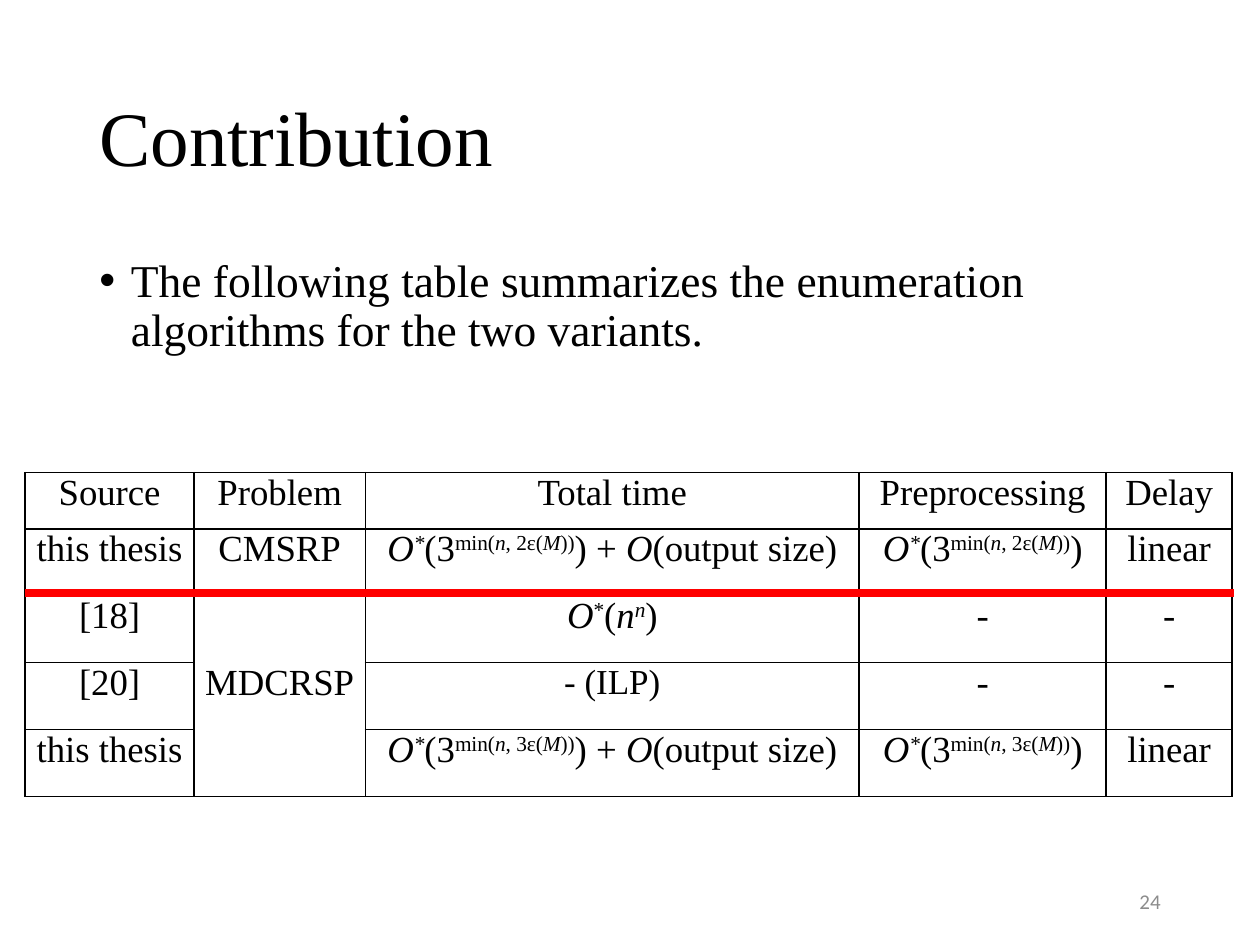
from lxml.etree import SubElement
from pptx import Presentation
from pptx.dml.color import RGBColor
from pptx.enum.shapes import MSO_CONNECTOR
from pptx.enum.text import MSO_ANCHOR as Anchor, PP_ALIGN as Align
from pptx.oxml.ns import qn
from pptx.util import Inches, Pt

SERIF = "Times New Roman"
BLACK, GRAY, RED = "000000", "8C8C8C", "FF0000"
PLAIN, ITALIC, SUPER, SUPER_ITALIC = "", "i", "^", "i^"


def color(value):
    return RGBColor.from_string(value)


def preprocessing_bound(factor):
    return [("O", ITALIC), ("*", SUPER_ITALIC), ("(3", PLAIN), ("min(", SUPER),
            ("n", SUPER_ITALIC), (f", {factor}ε(", SUPER), ("M", SUPER_ITALIC),
            ("))", SUPER), (")", PLAIN)]


def total_bound(factor):
    return preprocessing_bound(factor)[:-1] + [
        (") + ", PLAIN), ("O", ITALIC), ("(output size)", PLAIN)]


class SlideBuilder:
    """Holds the text style and the current slide, and adds elements to it."""

    def __init__(self, slide, font=SERIF, ink=BLACK):
        self.slide, self.font, self.ink = slide, font, ink

    def add_runs(self, paragraph, runs, size, font=None, ink=None):
        for text, style in runs:
            run = paragraph.add_run()
            run.text = text
            run.font.size = Pt(size)
            run.font.name = font or self.font
            run.font.color.rgb = color(ink or self.ink)
            run.font.italic = ITALIC in style
            if SUPER in style:
                run.font._element.set("baseline", "30000")

    def text(self, box, content, size, anchor=Anchor.TOP, align=Align.LEFT,
             spacing=0.9, bullet=False, font=None, ink=None):
        frame = self.slide.shapes.add_textbox(*map(Inches, box)).text_frame
        frame.word_wrap = True
        frame.vertical_anchor = anchor
        paragraph = frame.paragraphs[0]
        paragraph.alignment = align
        paragraph.line_spacing = spacing
        if bullet:
            properties = paragraph._p.get_or_add_pPr()
            properties.set("marL", str(Inches(0.25)))
            properties.set("indent", str(-Inches(0.25)))
            SubElement(properties, qn("a:buFont"), typeface="Arial")
            SubElement(properties, qn("a:buChar"), char="•")
        self.add_runs(paragraph, [(content, PLAIN)], size, font, ink)

    def borders(self, cell, sides):
        properties = cell._tc.get_or_add_tcPr()
        for side in "LRTB":
            edge = SubElement(properties, qn(f"a:ln{side}"), w=str(Pt(1)))
            if side in sides:
                fill = SubElement(edge, qn("a:solidFill"))
                SubElement(fill, qn("a:srgbClr"), val=self.ink)
            else:
                SubElement(edge, qn("a:noFill"))

    def table(self, left, top, widths, heights, rows, size, open_sides, sizes):
        table = self.slide.shapes.add_table(
            len(rows), len(widths), Inches(left), Inches(top),
            Inches(sum(widths)), Inches(sum(heights))).table
        table.first_row = table.horz_banding = False
        for column, width in zip(table.columns, widths):
            column.width = Inches(width)
        for row, height in zip(table.rows, heights):
            row.height = Inches(height)
        for r, row in enumerate(rows):
            for c, content in enumerate(row):
                cell = table.cell(r, c)
                cell.margin_left = cell.margin_right = Inches(0.07)
                cell.margin_top = cell.margin_bottom = 0
                self.borders(cell, open_sides.get((r, c), "LRTB"))
                cell.fill.background()
                paragraph = cell.text_frame.paragraphs[0]
                paragraph.alignment = Align.CENTER
                runs = [(content, PLAIN)] if isinstance(content, str) else content
                if content:
                    self.add_runs(paragraph, runs, sizes.get((r, c), size))

    def line(self, start, end, ink, width):
        connector = self.slide.shapes.add_connector(
            MSO_CONNECTOR.STRAIGHT, *map(Inches, start + end))
        connector.line.color.rgb = color(ink)
        connector.line.width = Pt(width)
        SubElement(connector._element.spPr, qn("a:effectLst"))


def main():
    deck = Presentation()
    deck.slide_width, deck.slide_height = Inches(10), Inches(7.5)
    builder = SlideBuilder(deck.slides.add_slide(deck.slide_layouts[6]))

    builder.text((0.69, 0.4, 8.62, 1.45), "Contribution", 44, anchor=Anchor.MIDDLE)
    builder.text((0.69, 2, 8.99, 4.95),
                 "The following table summarizes the enumeration algorithms "
                 "for the two variants.", 26, bullet=True)
    builder.text((7.06, 6.95, 2.25, 0.4), "24", 12, anchor=Anchor.MIDDLE,
                 align=Align.RIGHT, spacing=1.0, font="Calibri", ink=GRAY)

    exponential = [("O", ITALIC), ("*", SUPER), ("(", PLAIN), ("n", ITALIC),
                   ("n", SUPER_ITALIC), (")", PLAIN)]
    algorithms = [
        ["Source", "Problem", "Total time", "Preprocessing", "Delay"],
        ["this thesis", "CMSRP", total_bound(2), preprocessing_bound(2), "linear"],
        ["[18]", "", exponential, "-", "-"],
        ["[20]", "MDCRSP", "- (ILP)", "-", "-"],
        ["this thesis", "", total_bound(3), preprocessing_bound(3), "linear"],
    ]
    left, right, divider = 0.2, 9.79, 4.71
    builder.table(left, 3.75, [1.34, 1.36, 3.92, 1.96, 1], [0.45] + [0.53] * 4,
                  algorithms, 21,
                  open_sides={(2, 1): "LRT", (3, 1): "LR", (4, 1): "LRB"},
                  sizes={(3, 2): 20})
    builder.line((left, divider), (right, divider), RED, 4.5)
    deck.save("out.pptx")


if __name__ == "__main__":
    main()
